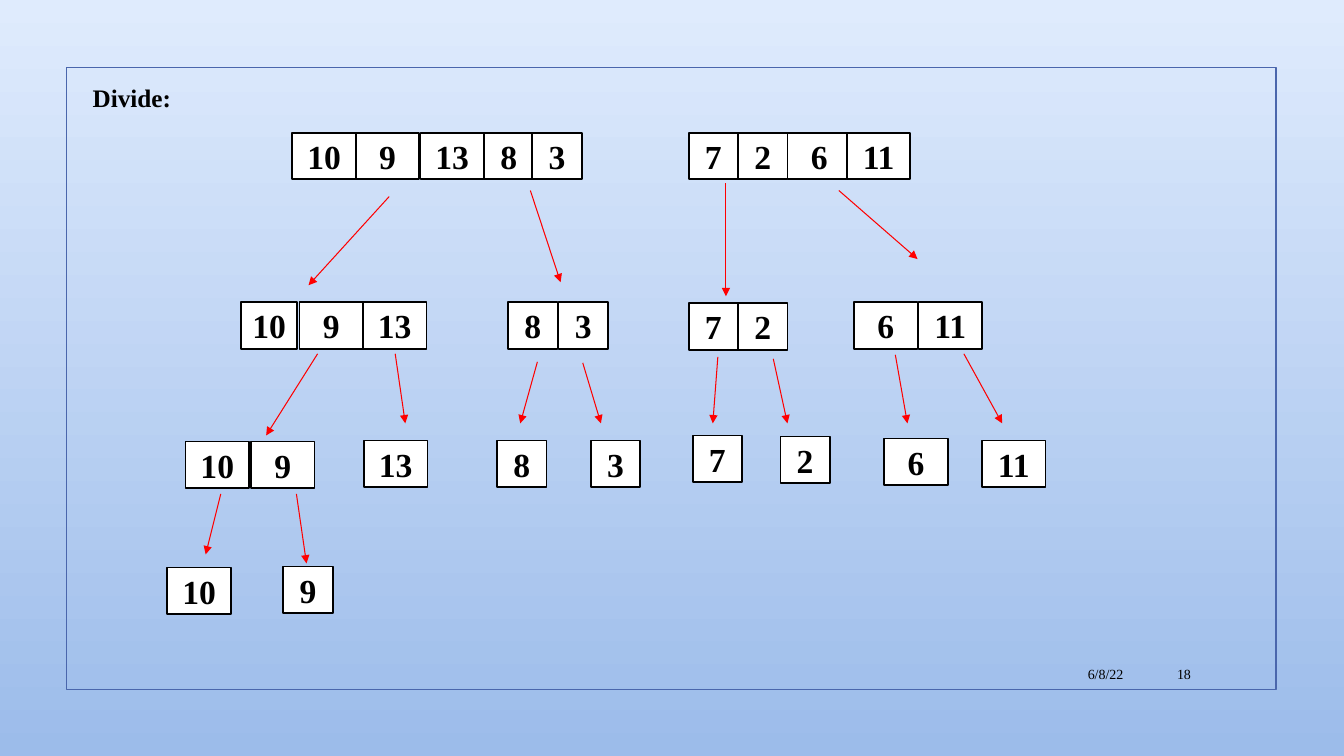
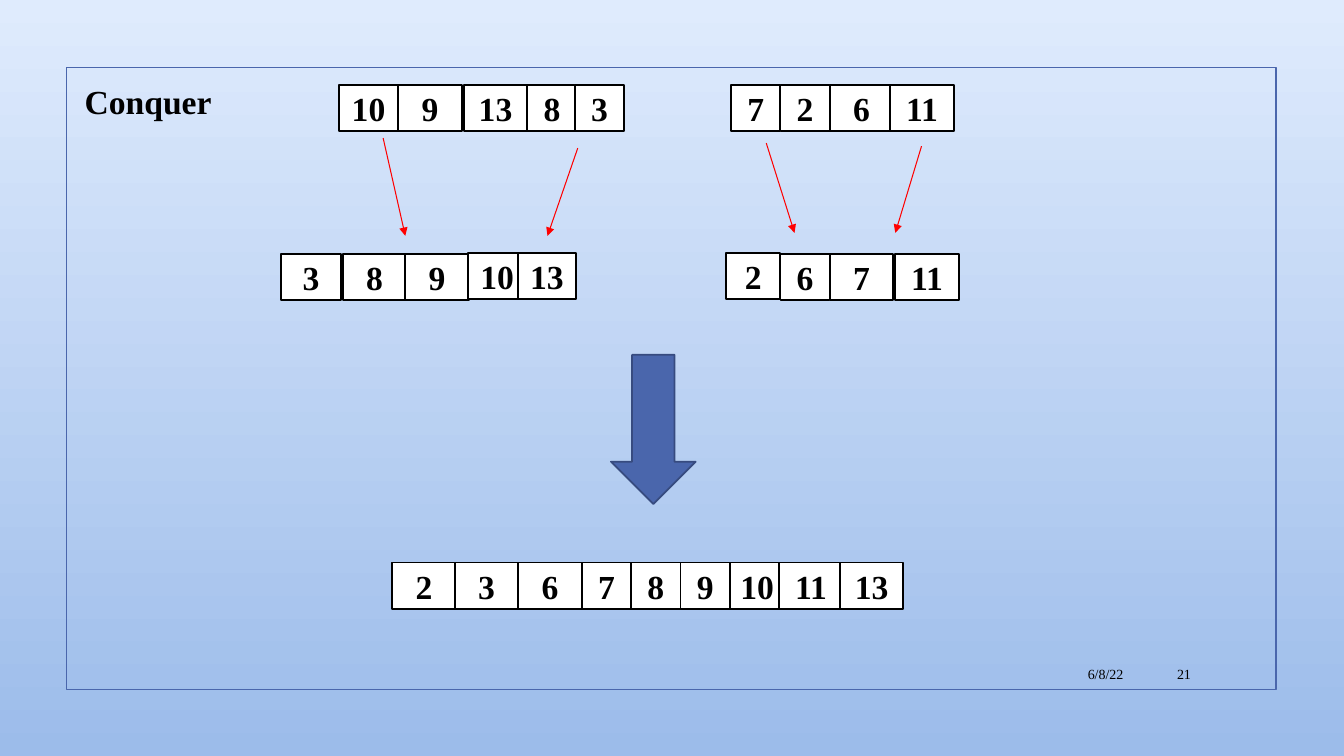
import pptx
import pptx.util
import pptx.dml.color
import pptx.enum.shapes
import pptx.enum.text
import pptx.oxml.ns
from lxml import etree

Inches = pptx.util.Inches
Shape = pptx.enum.shapes.MSO_SHAPE
Align = pptx.enum.text.PP_ALIGN
Anchor = pptx.enum.text.MSO_ANCHOR

FONT = "Times New Roman"
BLACK, WHITE, RED = "000000", "FFFFFF", "FF0000"
BLUE, NAVY = "4A66AC", "374B7F"
SKY = ("DFEBFD", "9CBCEA")
SLIM, WIDE, HIGH = 0.49, 0.63, 0.46

DIVIDE_ROWS = [
    (1.32, [("10", 2.9, WIDE), ("9", 3.53, WIDE), ("13", 4.17, WIDE),
            ("8", 4.8, SLIM), ("3", 5.28, SLIM)]),
    (1.32, [("7", 6.83, SLIM), ("2", 7.32, SLIM), ("6", 7.81, WIDE),
            ("11", 8.4, WIDE)]),
    (3, [("10", 2.39, 0.56), ("9", 2.97, WIDE), ("13", 3.6, WIDE)]),
    (3, [("8", 5.04, SLIM), ("3", 5.54, SLIM)]),
    (3.01, [("7", 6.83, SLIM), ("2", 7.32, SLIM)]),
    (3, [("6", 8.47, WIDE), ("11", 9.11, WIDE)]),
    (4.38, [("10", 1.84, WIDE), ("9", 2.49, WIDE)]),
    (4.37, [("13", 3.61, WIDE), ("8", 4.93, SLIM), ("3", 5.86, SLIM),
            ("11", 9.74, WIDE)]),
    (4.32, [("7", 6.87, SLIM)]),
    (4.33, [("2", 7.74, SLIM)]),
    (4.35, [("6", 8.77, WIDE)]),
    (5.63, [("10", 1.66, WIDE)]),
    (5.62, [("9", 2.81, SLIM)]),
]
DIVIDE_ARROWS = [
    (3.86, 1.95, 3.06, 2.83), (5.26, 1.89, 5.56, 2.8),
    (7.2, 1.82, 7.2, 2.94), (8.32, 1.89, 9.1, 2.57),
    (3.15, 3.51, 2.64, 4.32), (3.92, 3.51, 4.02, 4.2),
    (5.33, 3.59, 5.16, 4.2), (5.78, 3.6, 5.96, 4.2),
    (7.12, 3.54, 7.07, 4.2), (7.67, 3.56, 7.81, 4.2),
    (8.88, 3.52, 9, 4.2), (9.56, 3.51, 9.94, 4.2),
    (2.94, 4.9, 3.04, 5.59), (2.19, 4.9, 2.04, 5.5),
]
CONQUER_ROWS = [
    (0.84, [("10", 3.36, 0.59), ("9", 3.95, WIDE), ("13", 4.6, WIDE),
            ("8", 5.23, SLIM), ("3", 5.7, SLIM)]),
    (0.84, [("7", 7.25, SLIM), ("2", 7.74, SLIM), ("6", 8.23, WIDE),
            ("11", 8.83, WIDE)]),
    (2.52, [("3", 2.79, 0.59), ("8", 3.4, WIDE), ("9", 4.02, WIDE)]),
    (2.51, [("10", 4.64, 0.58), ("13", 5.14, 0.57), ("2", 7.2, 0.54)]),
    (2.52, [("6", 7.74, SLIM), ("7", 8.23, WIDE), ("11", 8.88, WIDE)]),
    (5.58, [("2", 3.89, WIDE), ("3", 4.51, WIDE), ("6", 5.14, WIDE),
            ("7", 5.77, SLIM), ("8", 6.26, SLIM), ("9", 6.75, SLIM),
            ("10", 7.24, 0.54), ("11", 7.73, WIDE), ("13", 8.33, WIDE)]),
]
CONQUER_ARROWS = [
    (3.8, 1.37, 4.02, 2.34), (5.73, 1.47, 5.43, 2.34),
    (7.6, 1.42, 7.88, 2.31), (9.14, 1.45, 8.88, 2.31),
]


def color(code):
    return pptx.dml.color.RGBColor.from_string(code)


def write(frame, text, size, bold=False, align=Align.LEFT, anchor=Anchor.TOP):
    frame.text = text
    frame.vertical_anchor = anchor
    para = frame.paragraphs[0]
    para.alignment = align
    font = para.runs[0].font
    font.name = FONT
    font.size = pptx.util.Pt(size)
    font.bold = bold
    font.color.rgb = color(BLACK)


def label(slide, spot, text, size, **style):
    box = slide.shapes.add_textbox(*map(Inches, spot))
    box.text_frame.word_wrap = True
    write(box.text_frame, text, size, **style)


def block(slide, kind, spot, fill, line):
    shape = slide.shapes.add_shape(kind, *map(Inches, spot))
    shape.shadow.inherit = False
    if fill:
        shape.fill.solid()
        shape.fill.fore_color.rgb = color(fill)
    else:
        shape.fill.background()
    shape.line.color.rgb = color(line)
    shape.line.width = pptx.util.Pt(1.25)
    return shape


def row(slide, top, cells):
    for text, left, width in cells:
        cell = block(slide, Shape.RECTANGLE, (left, top, width, HIGH), WHITE, BLACK)
        cell.text_frame.word_wrap = False
        write(cell.text_frame, text, 24, True, Align.CENTER, Anchor.MIDDLE)


def arrow(slide, ends):
    kind = pptx.enum.shapes.MSO_CONNECTOR.STRAIGHT
    link = slide.shapes.add_connector(kind, *map(Inches, ends))
    link.line.color.rgb = color(RED)
    link.line.width = pptx.util.Pt(0.75)
    name = pptx.oxml.ns.qn
    etree.SubElement(link.line._get_or_add_ln(), name("a:tailEnd"), type="triangle")
    etree.SubElement(link._element.spPr, name("a:effectLst"))


def backdrop(deck):
    fill = deck.slide_master.background.fill
    fill.gradient()
    fill.gradient_angle = 270
    for stop, code in zip(fill.gradient_stops, SKY):
        stop.color.rgb = color(code)


def page(deck, number, title, spot, size, rows, arrows):
    slide = deck.slides.add_slide(deck.slide_layouts[6])
    block(slide, Shape.RECTANGLE, (0.66, 0.67, 12, 6.17), None, BLUE)
    for text, left, width in (("6/8/22", 9.49, 1.75), (number, 11.32, 0.59)):
        label(slide, (left, 6.53, width, 0.31), text, 10,
              align=Align.RIGHT, anchor=Anchor.MIDDLE)
    label(slide, spot, title, size, bold=True)
    for top, cells in rows:
        row(slide, top, cells)
    for ends in arrows:
        arrow(slide, ends)
    return slide


def main():
    deck = pptx.Presentation()
    deck.slide_width = Inches(13.33)
    deck.slide_height = Inches(7.5)
    backdrop(deck)
    page(deck, "18", "Divide:", (0.82, 0.77, 1.65, 0.4), 18,
         DIVIDE_ROWS, DIVIDE_ARROWS)
    merge = page(deck, "21", "Conquer", (0.74, 0.75, 2.05, 0.5), 24,
                 CONQUER_ROWS, CONQUER_ARROWS)
    block(merge, Shape.DOWN_ARROW, (6.06, 3.52, 0.84, 1.48), BLUE, NAVY)
    deck.save("out.pptx")


if __name__ == "__main__":
    main()
